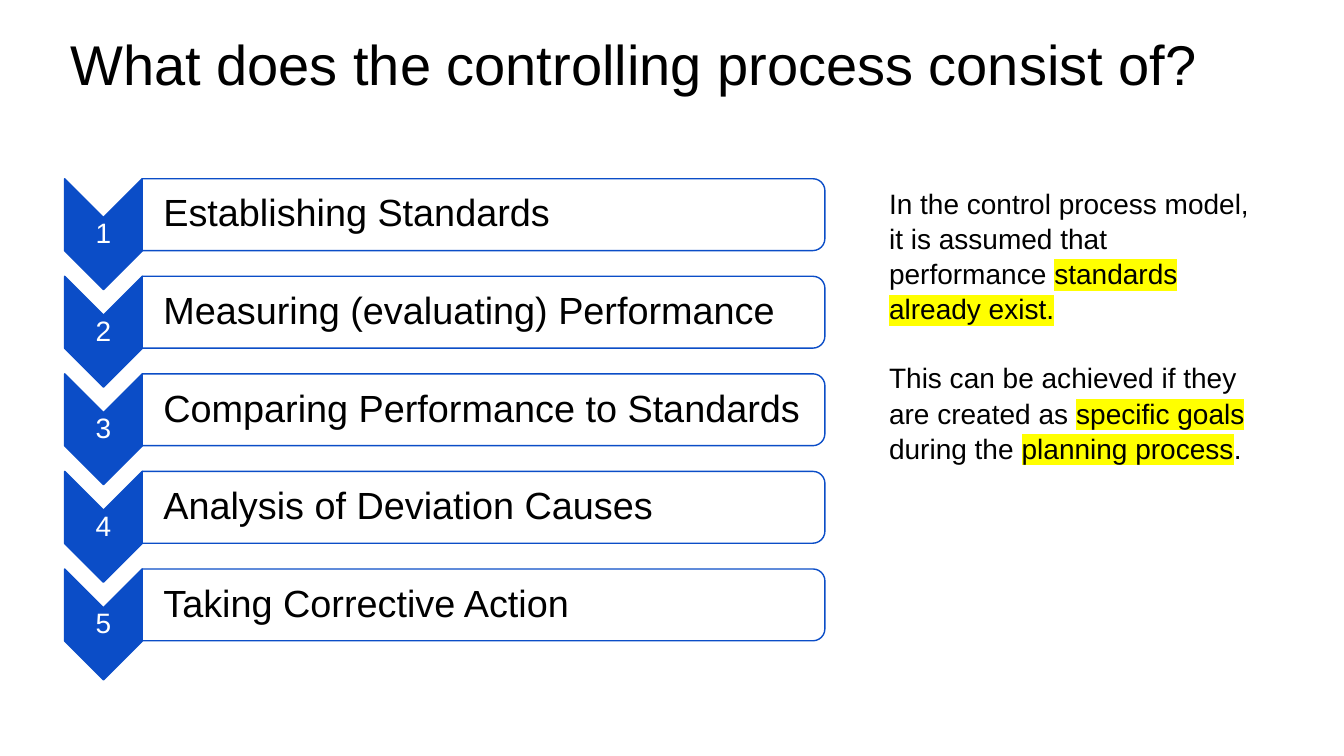
from dataclasses import dataclass

from lxml.etree import SubElement
from pptx import Presentation
from pptx.dml.color import RGBColor
from pptx.enum.shapes import MSO_SHAPE
from pptx.enum.text import MSO_ANCHOR, PP_ALIGN
from pptx.oxml.ns import qn
from pptx.shapes.autoshape import Shape
from pptx.slide import Slide
from pptx.text.text import TextFrame, _Paragraph
from pptx.util import Pt

BLACK = RGBColor(0x00, 0x00, 0x00)
WHITE = RGBColor(0xFF, 0xFF, 0xFF)
BLUE = RGBColor(0x0B, 0x4D, 0xC7)
YELLOW = RGBColor(0xFF, 0xFF, 0x00)
FONT = "Arial"

STEPS = (
    "Establishing Standards",
    "Measuring (evaluating) Performance",
    "Comparing Performance to Standards",
    "Analysis of Deviation Causes",
    "Taking Corrective Action",
)
STEP_TOP = 127.7
STEP_PITCH = 69.68


@dataclass(frozen=True)
class Area:
    left: float
    top: float
    width: float
    height: float

    def moved_down(self, distance: float) -> "Area":
        return Area(self.left, self.top + distance, self.width, self.height)

    def before_quarter_turn(self) -> "Area":
        """Return the unrotated frame that fills this area once turned by 90 degrees."""
        shift = (self.width - self.height) / 2
        return Area(self.left + shift, self.top - shift, self.height, self.width)

    def lengths(self) -> tuple[Pt, Pt, Pt, Pt]:
        return Pt(self.left), Pt(self.top), Pt(self.width), Pt(self.height)


@dataclass(frozen=True)
class Phrase:
    text: str
    marked: bool = False


TITLE = Area(43.2, 23.04, 874.8, 104.4)
NOTE = Area(624.96, 128.16, 289.44, 200.88)
CHEVRON = Area(46.2, STEP_TOP, 55.4, 79.2)
NUMBER = Area(46.2, 155.6, 55.4, 23.6)
BAR = Area(101.6, STEP_TOP, 487.6, 51.3)
LABEL = Area(101.6, 130.2, 485.2, 46.3)

NOTE_PARAGRAPHS = (
    (
        Phrase("In the control process model, it is assumed that performance "),
        Phrase("standards already exist.", True),
    ),
    (
        Phrase("This can be achieved if they are created as "),
        Phrase("specific goals ", True),
        Phrase("during the "),
        Phrase("planning process", True),
        Phrase("."),
    ),
)


def add_text_frame(page: Slide, area: Area) -> TextFrame:
    frame = page.shapes.add_textbox(*area.lengths()).text_frame
    frame.word_wrap = True
    return frame


def add_span(para: _Paragraph, phrase: Phrase, size: float, color: RGBColor) -> None:
    span = para.add_run()
    span.text = phrase.text
    span.font.size = Pt(size)
    span.font.color.rgb = color
    if phrase.marked:
        highlight = SubElement(span._r.get_or_add_rPr(), qn("a:highlight"))
        SubElement(highlight, qn("a:srgbClr"), val=str(YELLOW))
    span.font.name = FONT


def add_line(frame: TextFrame, text: str, size: float, color: RGBColor) -> _Paragraph:
    para = frame.paragraphs[0]
    para.line_spacing = 0.9
    add_span(para, Phrase(text), size, color)
    return para


def center_vertically(frame: TextFrame, left_inset: float, inset: float) -> None:
    frame.vertical_anchor = MSO_ANCHOR.MIDDLE
    frame.margin_left = Pt(left_inset)
    frame.margin_top = frame.margin_right = frame.margin_bottom = Pt(inset)


def add_turned_shape(page: Slide, kind: MSO_SHAPE, area: Area, fill: RGBColor) -> Shape:
    shape = page.shapes.add_shape(kind, *area.before_quarter_turn().lengths())
    shape.rotation = 90
    shape.shadow.inherit = False
    shape.fill.solid()
    shape.fill.fore_color.rgb = fill
    shape.line.color.rgb = BLUE
    shape.line.width = Pt(1)
    return shape


def add_step(page: Slide, index: int, label: str) -> None:
    offset = index * STEP_PITCH
    add_turned_shape(page, MSO_SHAPE.CHEVRON, CHEVRON.moved_down(offset), BLUE)
    number = add_text_frame(page, NUMBER.moved_down(offset))
    center_vertically(number, 0.9, 0.9)
    add_line(number, str(index + 1), 20, WHITE).alignment = PP_ALIGN.CENTER

    bar = add_turned_shape(
        page, MSO_SHAPE.ROUND_2_SAME_RECTANGLE, BAR.moved_down(offset), WHITE
    )
    bar_color = bar.element.spPr.find(qn("a:solidFill")).find(qn("a:srgbClr"))
    SubElement(bar_color, qn("a:alpha"), val="90000")
    caption = add_text_frame(page, LABEL.moved_down(offset))
    center_vertically(caption, 15.1, 1.4)
    add_line(caption, label, 27, BLACK)


def add_note(page: Slide) -> None:
    frame = add_text_frame(page, NOTE)
    frame.margin_left = Pt(10.08)
    for index, phrases in enumerate(NOTE_PARAGRAPHS):
        para = frame.add_paragraph() if index else frame.paragraphs[0]
        para.line_spacing = 1.05
        para.space_before = Pt(24 if index else 0)
        for phrase in phrases:
            add_span(para, phrase, 20, BLACK)


def main() -> None:
    deck = Presentation()
    deck.slide_width, deck.slide_height = Pt(960), Pt(540)
    page = deck.slides.add_slide(deck.slide_layouts[6])
    title = add_text_frame(page, TITLE)
    add_line(title, "What does the controlling process consist of?", 40, BLACK)
    add_note(page)
    for index, label in enumerate(STEPS):
        add_step(page, index, label)
    deck.save("out.pptx")


if __name__ == "__main__":
    main()
